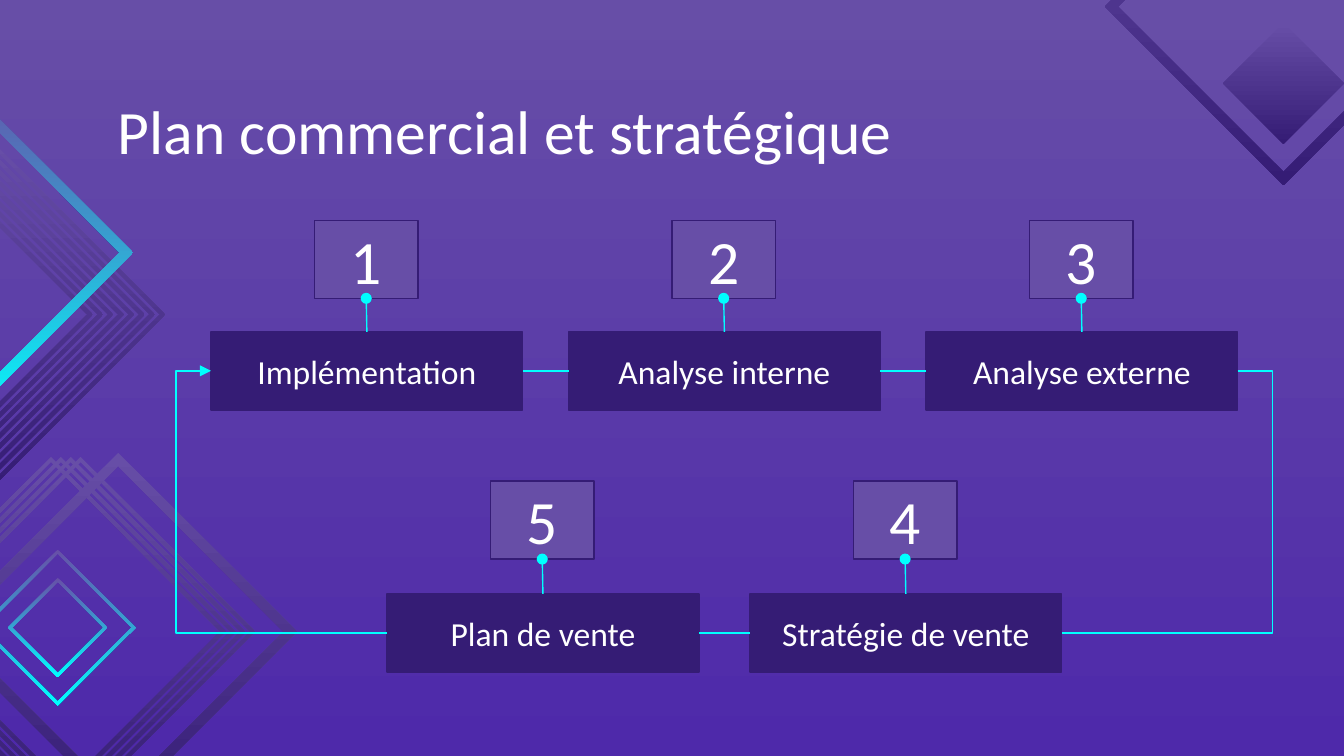
from dataclasses import dataclass

from lxml import etree
from pptx import Presentation
from pptx import util as u
from pptx.dml.color import RGBColor
from pptx.enum import shapes, text
from pptx.oxml.ns import qn


@dataclass(frozen=True)
class Theme:
    font: str = "Calibri"
    white: str = "FFFFFF"
    violet: str = "674EA7"
    deep: str = "351C75"
    base: str = "4E29AA"
    cyan: str = "00FFFF"
    heading: int = 33
    label: int = 18
    line: float = 0.75


theme = Theme()


def write(frame, words, size, align=text.PP_ALIGN.LEFT, anchor=text.MSO_ANCHOR.TOP):
    frame.word_wrap = True
    frame.vertical_anchor = anchor
    frame.margin_left = frame.margin_right = u.Inches(0.1)
    frame.margin_top = frame.margin_bottom = u.Inches(0.1)
    paragraph = frame.paragraphs[0]
    paragraph.alignment = align
    run = paragraph.add_run()
    run.text = words
    run.font.name = theme.font
    run.font.size = u.Pt(size)
    run.font.color.rgb = RGBColor.from_string(theme.white)


def blend(fill, start, end, angle):
    fill.gradient()
    fill.gradient_angle = angle
    for stop, colour in zip(fill.gradient_stops, (start, end)):
        stop.color.rgb = RGBColor.from_string(colour)


deck = Presentation()
deck.slide_width = u.Inches(10)
deck.slide_height = deck.slide_width * 9 // 16
slide = deck.slides.add_slide(deck.slide_layouts[6])
blend(slide.background.fill, theme.base, theme.violet, 90)

diamonds = [(0.38 + 0.22 * i / 3, 4.7, 1.3, 1.26, theme.deep) for i in range(4)]
diamonds += [
    (0.88, 4.7, 1.33, 1.23, theme.deep),
    (0.43, 4.67, 0.58, 0.55, theme.cyan),
    (0.43, 4.67, 0.37, 0.34, theme.cyan),
]
diamonds += [(-0.61 + 0.54 * i / 7, 2.34, 1.3, 1.26, theme.deep) for i in range(8)]
diamonds += [
    (-0.34, 1.88, 1.33, 1.23, theme.cyan),
    (9.55, 0.62, 0.45, 0, theme.deep),
    (9.55, 0.05, 1.33, 1.23, theme.deep),
]
for x, y, outer, inner, end_colour in diamonds:
    contours = [[(x, y - outer), (x + outer, y), (x, y + outer), (x - outer, y)]]
    if inner:
        contours.append([(x, y - inner), (x - inner, y), (x, y + inner), (x + inner, y)])
    builder = None
    for contour in contours:
        corners = [(u.Inches(px), u.Inches(py)) for px, py in contour]
        if builder is None:
            builder = slide.shapes.build_freeform(*corners[0])
        else:
            builder.move_to(*corners[0])
        builder.add_line_segments(corners[1:], close=True)
    diamond = builder.convert_to_shape()
    diamond.shadow.inherit = False
    diamond.line.fill.background()
    blend(diamond.fill, theme.violet, end_colour, 270)

title = slide.shapes.add_textbox(u.Inches(0.78), u.Inches(0.59), u.Inches(8.44), u.Inches(0.63))
write(title.text_frame, "Plan commercial et stratégique", theme.heading)

steps = [
    ("Implémentation", 1.57, 2.47, 1.64),
    ("Analyse interne", 4.23, 2.47, 1.64),
    ("Analyse externe", 6.89, 2.47, 1.64),
    ("Stratégie de vente", 5.58, 4.42, 3.58),
    ("Plan de vente", 2.88, 4.42, 3.58),
]
labels, badges = [], []
for number, (name, left, label_top, badge_top) in enumerate(steps, 1):
    for group, words, x, y, width, colour, size in (
        (labels, name, left, label_top, 2.32, theme.deep, theme.label),
        (badges, str(number), left + 0.77, badge_top, 0.77, theme.violet, theme.heading),
    ):
        box = slide.shapes.add_shape(
            shapes.MSO_SHAPE.RECTANGLE, u.Inches(x), u.Inches(y), u.Inches(width), u.Inches(0.58)
        )
        box.shadow.inherit = False
        box.fill.solid()
        box.fill.fore_color.rgb = RGBColor.from_string(colour)
        box.line.color.rgb = RGBColor.from_string(theme.deep)
        box.line.width = u.Pt(theme.line)
        write(box.text_frame, words, size, text.PP_ALIGN.CENTER, text.MSO_ANCHOR.MIDDLE)
        group.append(box)

TOP, LEFT, BOTTOM, RIGHT = range(4)
first, second, third, fourth, fifth = labels
links = [
    (first, RIGHT, second, LEFT, None, None),
    (second, RIGHT, third, LEFT, None, None),
    (third, RIGHT, fourth, RIGHT, None, -19900),
    (fourth, LEFT, fifth, RIGHT, None, None),
    (fifth, LEFT, first, LEFT, ("tailEnd", "triangle"), 119900),
]
links += [
    (badge, BOTTOM, label, TOP, ("headEnd", "oval"), None) for badge, label in zip(badges, labels)
]
for origin, exit_side, target, entry_side, arrowhead, bend in links:
    kind = shapes.MSO_CONNECTOR.STRAIGHT if bend is None else shapes.MSO_CONNECTOR.ELBOW
    link = slide.shapes.add_connector(kind, 0, 0, 0, 0)
    link.begin_connect(origin, exit_side)
    link.end_connect(target, entry_side)
    link.line.color.rgb = RGBColor.from_string(theme.cyan)
    link.line.width = u.Pt(theme.line)
    properties = link._element.spPr
    if arrowhead:
        tag, style = arrowhead
        etree.SubElement(properties.find(qn("a:ln")), qn(f"a:{tag}"), type=style)
    if bend is not None:
        guides = properties.find(qn("a:prstGeom")).find(qn("a:avLst"))
        etree.SubElement(guides, qn("a:gd"), name="adj1", fmla=f"val {bend}")
    etree.SubElement(properties, qn("a:effectLst"))

deck.save("out.pptx")
